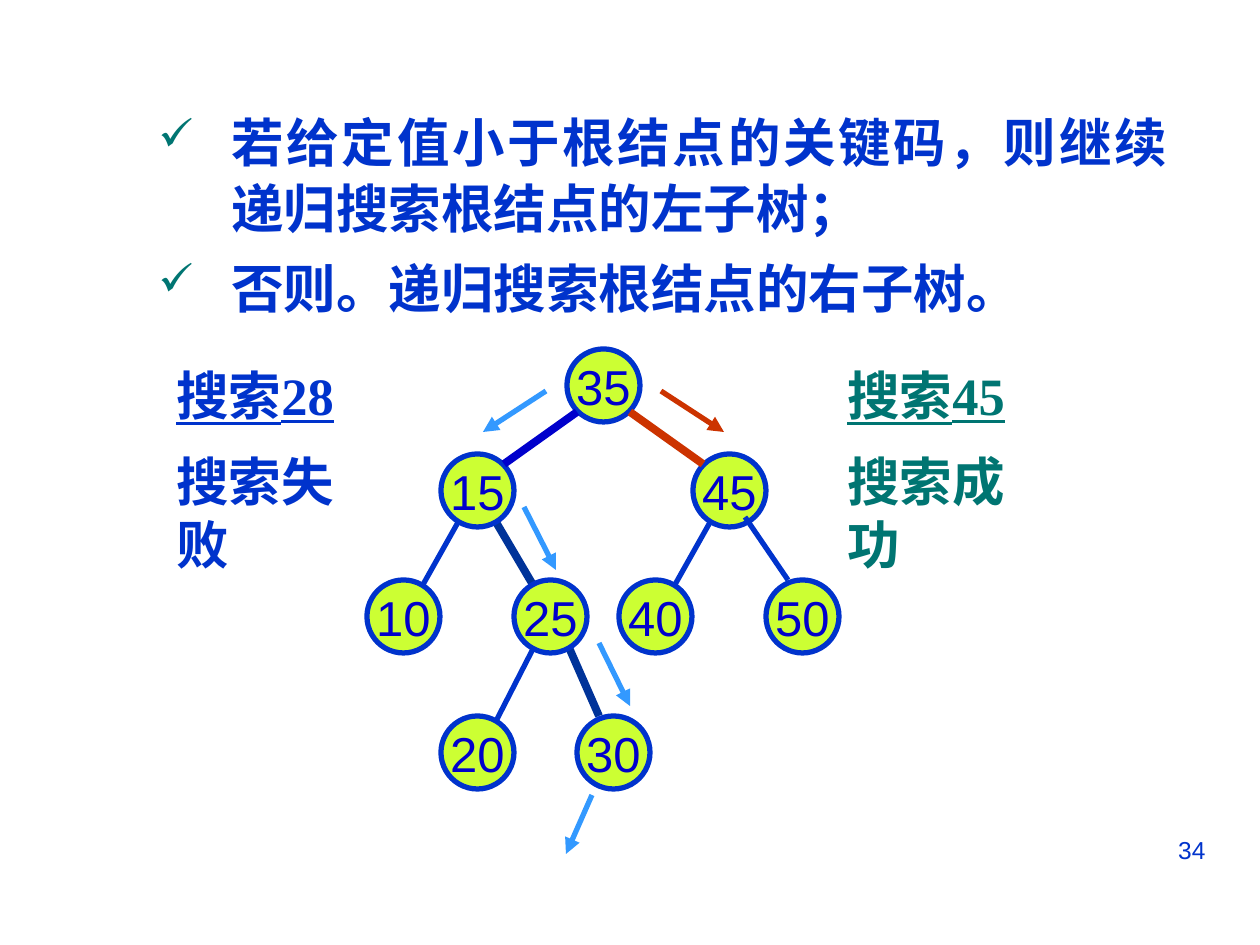
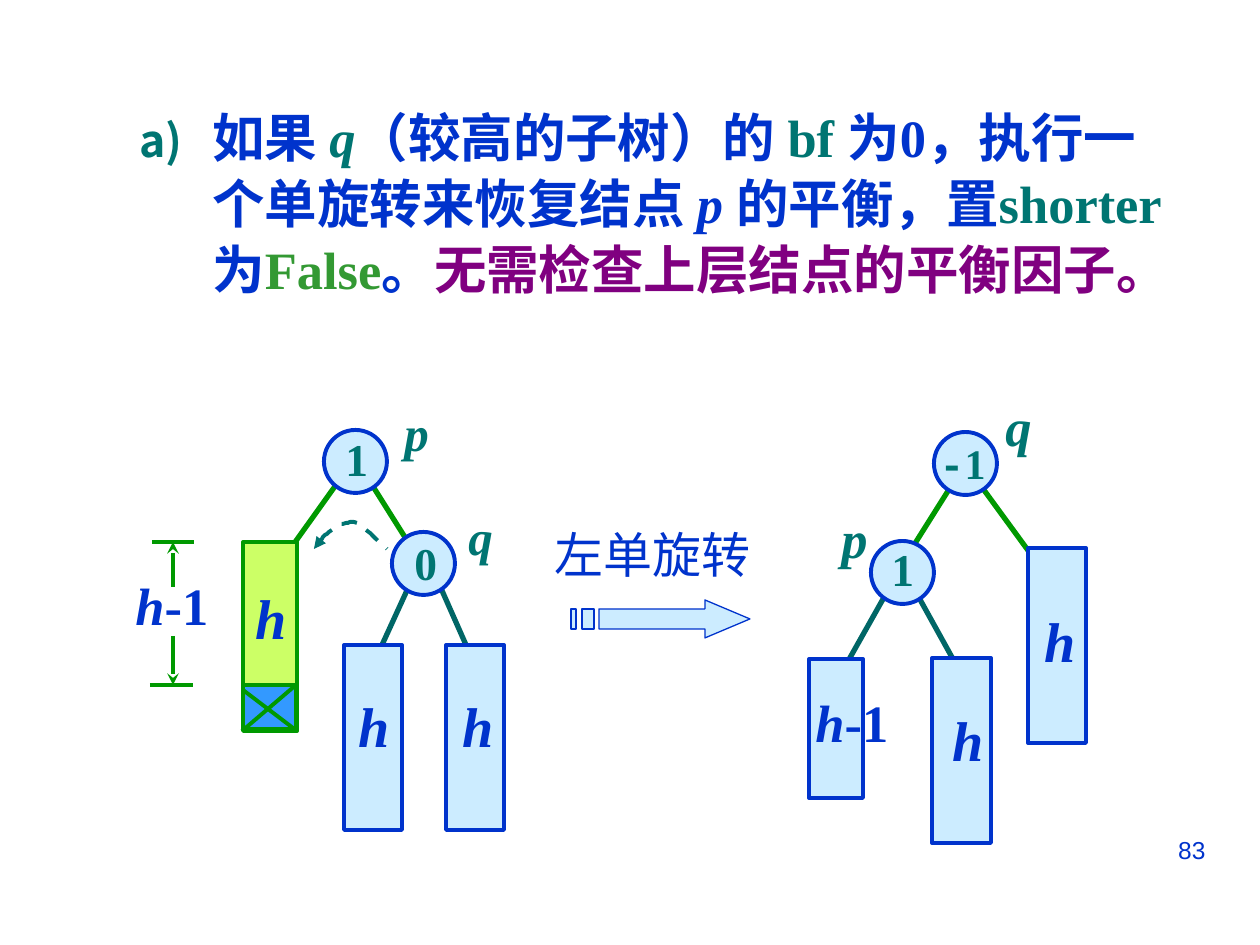
from dataclasses import dataclass
from typing import Any

from pptx import Presentation
from pptx.dml.color import RGBColor
from pptx.enum.dml import MSO_LINE
from pptx.enum.lang import MSO_LANGUAGE_ID
from pptx.enum.shapes import MSO_CONNECTOR, MSO_SHAPE
from pptx.enum.text import MSO_ANCHOR, PP_ALIGN
from pptx.oxml.ns import qn
from pptx.util import Emu, Pt
from lxml.etree import SubElement

PX = 914400 / 126
SANS, SERIF, MONO = "Arial", "Times New Roman", "Courier New"
COLORS = {
    "blue": "0033CC", "ink": "0000CC", "navy": "003399", "sky": "3399FF",
    "red": "CC3300", "teal": "007572", "deep_teal": "006666", "green": "009900",
    "leaf": "339933", "purple": "800080", "lime": "CCFF33", "pale_lime": "CCFF66",
    "ice": "CCECFF",
}


def px(length):
    """Turn pixels into EMU."""
    return Emu(round(length * PX))


def color(name):
    """Look up a palette colour."""
    return RGBColor.from_string(COLORS[name])


def add_run(paragraph, text, ink, size, font=SERIF, bold=True, italic=False, underline=False):
    """Append one styled run to a paragraph."""
    run = paragraph.add_run()
    run.text = text
    style = run.font
    style.name, style.size = font, Pt(size)
    style.bold, style.italic, style.underline = bold, italic, underline
    style.color.rgb = color(ink)
    style.language_id = MSO_LANGUAGE_ID.SIMPLIFIED_CHINESE


def add_arrowhead(shape, end, kind):
    """Put an arrowhead on the headEnd or tailEnd of an outline."""
    SubElement(shape.element.spPr.find(qn("a:ln")), qn(f"a:{end}"), type=kind)


def style_shape(shape, fill, outline, weight):
    """Set fill and outline and drop the shadow."""
    shape.shadow.inherit = False
    if fill:
        shape.fill.solid()
        shape.fill.fore_color.rgb = color(fill)
    else:
        shape.fill.background()
    shape.line.color.rgb = color(outline)
    shape.line.width = Pt(weight)


@dataclass
class Region:
    """A part of a slide whose contents are placed from its corner."""
    slide: Any
    left: int
    top: int

    def text_frame(self, left, top, width, height, wrap=True):
        """Add a text box and return its frame."""
        box = self.slide.shapes.add_textbox(
            px(self.left + left), px(self.top + top), px(width), px(height))
        box.text_frame.word_wrap = wrap
        return box.text_frame

    def label(self, box, text, ink, size, **style):
        """Add a text box holding a single run and return its paragraph."""
        paragraph = self.text_frame(*box).paragraphs[0]
        add_run(paragraph, text, ink, size, **style)
        return paragraph

    def shape(self, kind, box, fill, outline="blue", weight=2.25):
        """Add a preset shape."""
        left, top, width, height = box
        shape = self.slide.shapes.add_shape(
            kind, px(self.left + left), px(self.top + top), px(width), px(height))
        style_shape(shape, fill, outline, weight)
        return shape

    def line(self, ends, ink, weight, arrow=None):
        """Add a straight line, with an arrowhead if one is named."""
        x1, y1, x2, y2 = ends
        connector = self.slide.shapes.add_connector(
            MSO_CONNECTOR.STRAIGHT, px(self.left + x1), px(self.top + y1),
            px(self.left + x2), px(self.top + y2))
        connector.line.color.rgb = color(ink)
        connector.line.width = Pt(weight)
        if arrow:
            add_arrowhead(connector, "tailEnd", arrow)
        SubElement(connector.element.spPr, qn("a:effectLst"))

    def outline(self, contours, close):
        """Add a freeform made of one or more contours."""
        contours = [[(self.left + x, self.top + y) for x, y in points] for points in contours]
        builder = self.slide.shapes.build_freeform(*contours[0][0], scale=PX)
        for number, points in enumerate(contours):
            if number:
                builder.move_to(*points[0])
            builder.add_line_segments(points[1:], close=close)
        return builder.convert_to_shape()


def add_bullet(paragraph, tag, **attributes):
    """Indent a paragraph and give it a teal bullet."""
    properties = paragraph._p.get_or_add_pPr()
    properties.set("marL", str(px(136)))
    properties.set("indent", str(px(-73)))
    paragraph.line_spacing = 1.05
    bullet_color = SubElement(properties, qn("a:buClr"))
    SubElement(bullet_color, qn("a:srgbClr"), val=COLORS["teal"])
    SubElement(properties, qn("a:buSzPct"), val="85000")
    SubElement(properties, qn(f"a:{tag}"), **attributes)


def add_page_number(slide, number):
    """Add the page number at the lower right."""
    paragraph = Region(slide, 903, 829).label(
        (0, 0, 315, 66), number, "blue", 14, font=SANS, bold=False)
    paragraph.alignment = PP_ALIGN.RIGHT


def add_search_rules(region):
    """Add the two rules of recursive search."""
    frame = region.text_frame(0, 0, 1097, 248)
    rules = ("若给定值小于根结点的关键码，则继续递归搜索根结点的左子树；",
             "否则。递归搜索根结点的右子树。")
    for number, rule in enumerate(rules):
        paragraph = frame.add_paragraph() if number else frame.paragraphs[0]
        add_bullet(paragraph, "buChar", char="✓")
        paragraph.alignment = PP_ALIGN.JUSTIFY
        if number:
            paragraph.space_before = Pt(7.5)
        add_run(paragraph, rule, "blue", 30, font=SANS)


def add_search_outcome(region, target, result, ink):
    """Add an underlined search target above its result."""
    frame = region.text_frame(0, 0, 234, 163, wrap=False)
    add_run(frame.paragraphs[0], target, ink, 30, underline=True)
    paragraph = frame.add_paragraph()
    paragraph.space_before = Pt(13.1)
    add_run(paragraph, result, ink, 30)


def add_search_tree(region):
    """Add the binary search tree with both search paths."""
    edges = [
        ((347, 168, 306, 241), "blue", 3), ((201, 294, 233, 367), "navy", 4.5),
        ((170, 294, 127, 378), "blue", 3), ((95, 168, 54, 241), "blue", 3),
        ((127, 168, 170, 241), "navy", 4.5),
    ]
    for edge in edges:
        region.line(*edge)
    levels = {
        0: {"35": 201},
        105: {"15": 75, "45": 327},
        231: {"10": 1, "25": 148, "40": 253, "50": 400},
        367: {"20": 75, "30": 211},
    }
    for top, nodes in levels.items():
        for key, left in nodes.items():
            node = region.shape(MSO_SHAPE.OVAL, (left, top, 73, 73), "lime", weight=3)
            frame = node.text_frame
            frame.word_wrap = False
            frame.vertical_anchor = MSO_ANCHOR.MIDDLE
            frame.paragraphs[0].alignment = PP_ALIGN.CENTER
            add_run(frame.paragraphs[0], key, "ink", 28, font=SANS, bold=False)
    region.line((211, 63, 138, 115), "ink", 4.5)
    region.line((264, 63, 337, 115), "red", 4.5)
    region.line((379, 168, 422, 231), "blue", 3)
    region.line((295, 42, 358, 83), "red", 3, "triangle")
    failed_path = [(180, 42, 117, 83), (158, 158, 190, 221),
                   (233, 294, 264, 357), (226, 446, 200, 505)]
    for step in failed_path:
        region.line(step, "sky", 3, "triangle")


def add_rotation_rule(region):
    """Add the paragraph on single rotation."""
    paragraph = region.text_frame(0, 0, 1113, 302).paragraphs[0]
    add_bullet(paragraph, "buAutoNum", type="alphaLcParenR")
    runs = [
        ("如果 ", "blue", False), ("q", "teal", True), ("（较高的子树）的 ", "blue", False),
        ("bf ", "teal", False), ("为0，执行一个单旋转来恢复结点 ", "blue", False),
        ("p ", "blue", True), ("的平衡，置", "blue", False), ("shorter", "teal", False),
        ("为", "blue", False), ("False", "leaf", False), ("。", "blue", False),
        ("无需检查上层结点的平衡因子。", "purple", False),
    ]
    for text, ink, italic in runs:
        add_run(paragraph, text, ink, 30, italic=italic)


def add_edges(region, upper, lower):
    """Add the green upper and teal lower edges of a balanced tree."""
    for ink, edges in (("deep_teal", lower), ("green", upper)):
        for edge in edges:
            region.line(edge, ink, 3)


def add_balance_node(region, left, top):
    """Add the circle of a node."""
    region.shape(MSO_SHAPE.OVAL, (left, top, 63, 63), "ice")


def add_node_name(region, left, top, name, size):
    """Add the italic name beside a node."""
    region.label((left, top, 66, 76), name, "teal", size, italic=True)


def add_height(region, left, top, width=53):
    """Add the height letter of a subtree."""
    region.label((left, top, width, 81), "h", "blue", 32, italic=True)


def add_reduced_height(region, left, top):
    """Add the height less one."""
    paragraph = region.label((left, top, 105, 76), "h", "blue", 30, italic=True)
    add_run(paragraph, "-1", "blue", 30)


def add_tree_before(region):
    """Add the tree before rotation, with the height mark."""
    add_edges(region, [(237, 81, 310, 197), (226, 91, 143, 207)],
              [(316, 197, 358, 292), (300, 182, 257, 276)])
    add_balance_node(region, 204, 50)
    add_balance_node(region, 272, 152)
    region.shape(MSO_SHAPE.RECTANGLE, (123, 162, 54, 189), "pale_lime", "green")
    region.shape(MSO_SHAPE.RECTANGLE, (123, 305, 53, 44), "sky", "green")
    for left in (224, 326):
        region.shape(MSO_SHAPE.RECTANGLE, (left, 265, 58, 185), "ice")
    for mark in [(176, 305, 122, 351), (123, 310, 177, 351),
                 (30, 305, 73, 305), (32, 162, 74, 162)]:
        region.line(mark, "green", 2.25)
    for arrow in [(53, 256, 53, 305), (53, 207, 53, 162)]:
        region.line(arrow, "green", 2.25, "stealth")
    region.label((213, 45, 73, 68), "1", "teal", 26)
    region.label((282, 149, 73, 68), "0", "teal", 26)
    add_height(region, 123, 197, 64)
    add_height(region, 226, 305)
    add_height(region, 330, 305)
    add_reduced_height(region, 3, 187)
    add_node_name(region, 272, 16, "p", 28)
    add_node_name(region, 336, 120, "q", 28)


def add_tree_after(region):
    """Add the tree after rotation."""
    add_edges(region, [(165, 84, 92, 200), (173, 95, 257, 210)],
              [(91, 205, 38, 299), (112, 205, 164, 299)])
    add_balance_node(region, 134, 52)
    for subtree in [(9, 279, 54, 139), (132, 278, 59, 185), (228, 168, 58, 195)]:
        region.shape(MSO_SHAPE.RECTANGLE, subtree, "ice")
    add_balance_node(region, 71, 161)
    region.label((79, 155, 73, 68), "1", "teal", 26)
    add_height(region, 140, 319)
    add_height(region, 232, 220)
    add_reduced_height(region, 3, 304)
    add_node_name(region, 29, 120, "p", 30)
    add_node_name(region, 193, 8, "q", 30)
    paragraph = region.label((127, 51, 95, 63), "-", "teal", 24, font=MONO)
    add_run(paragraph, "1", "teal", 24)


def add_rotation_arrow(region):
    """Add the caption and the striped block arrow."""
    region.text_frame(0, 0, 221, 72, wrap=False)
    paragraph = region.slide.shapes[-1].text_frame.paragraphs[0]
    add_run(paragraph, "左单旋转", "blue", 28, bold=False)
    head = [(163, 82), (163, 91), (57, 91), (57, 111), (163, 111), (163, 120), (208, 101)]
    stripes = [[(left, 91), (left, 111), (right, 111), (right, 91)]
               for left, right in ((40, 52), (29, 34))]
    arrow = region.outline([head, *stripes], close=True)
    style_shape(arrow, "ice", "blue", 0.75)


def add_turn_curve(region):
    """Add the dashed curve that shows the turn."""
    controls = [(0, 29), (2, 26), (5, 22), (9, 17), (14, 13), (21, 7), (27, 4),
                (34, 3), (38, 0), (45, 4), (53, 9), (69, 26), (73, 29)]
    points = [controls[0]]
    for first in range(0, len(controls) - 1, 3):
        for step in range(1, 9):
            t = step / 8
            weights = ((1 - t) ** 3, 3 * t * (1 - t) ** 2, 3 * t * t * (1 - t), t ** 3)
            segment = controls[first:first + 4]
            points.append(tuple(sum(weight * point[axis] for weight, point in zip(weights, segment))
                                for axis in (0, 1)))
    curve = region.outline([points], close=False)
    style_shape(curve, None, "teal", 2.25)
    curve.line.dash_style = MSO_LINE.DASH
    add_arrowhead(curve, "headEnd", "triangle")


def main():
    """Build both slides and save them."""
    presentation = Presentation()
    presentation.slide_width, presentation.slide_height = px(1260), px(945)
    blank = presentation.slide_layouts[6]

    search = presentation.slides.add_slide(blank)
    add_page_number(search, "34")
    add_search_rules(Region(search, 83, 101))
    add_search_outcome(Region(search, 835, 357), "搜索45", "搜索成功", "teal")
    add_search_outcome(Region(search, 164, 357), "搜索28", "搜索失败", "blue")
    add_search_tree(Region(search, 366, 349))

    rotation = presentation.slides.add_slide(blank)
    add_page_number(rotation, "83")
    add_rotation_rule(Region(rotation, 64, 96))
    add_rotation_arrow(Region(rotation, 542, 518))
    add_tree_after(Region(rotation, 800, 380))
    add_turn_curve(Region(rotation, 314, 520))
    add_tree_before(Region(rotation, 120, 380))

    presentation.save("out.pptx")


if __name__ == "__main__":
    main()
